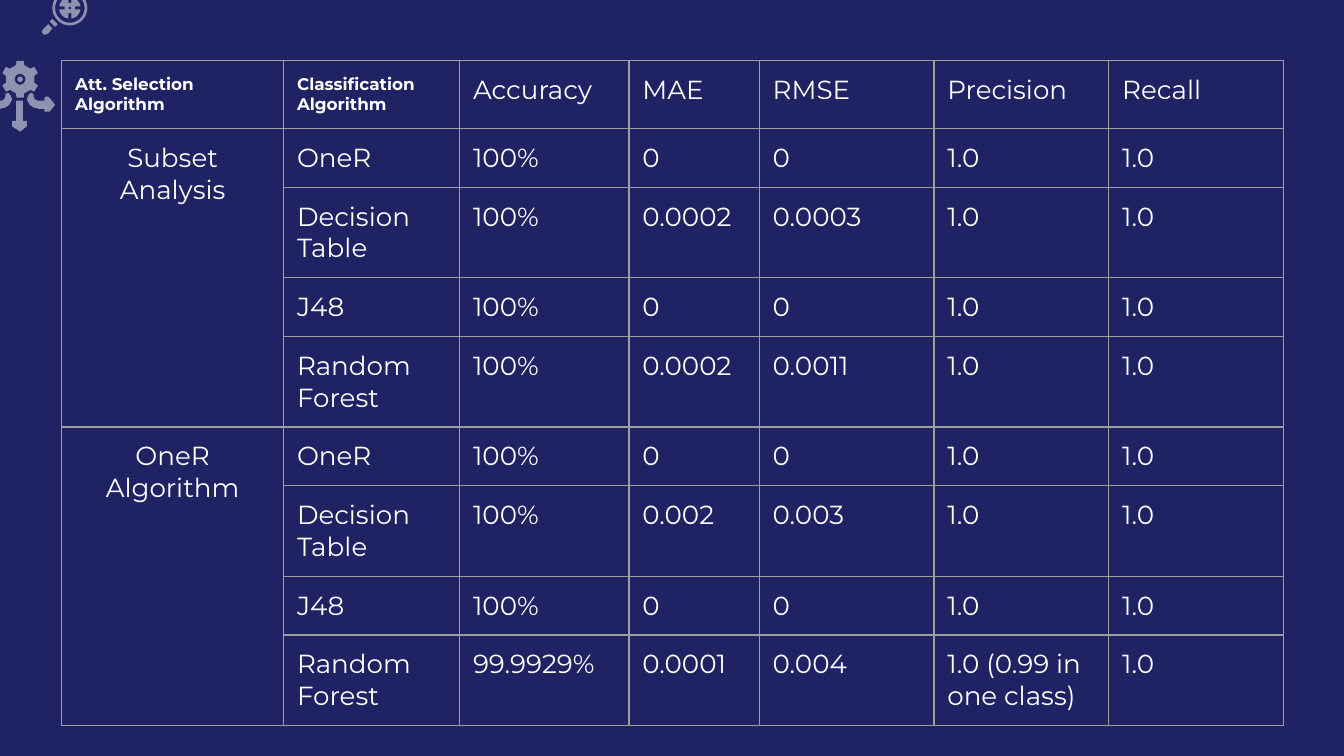
import math
from dataclasses import dataclass
from typing import NamedTuple

import lxml.etree
import pptx
import pptx.dml.color
import pptx.enum.text
import pptx.oxml
import pptx.oxml.ns
import pptx.util
from pptx.util import Inches


class Point(NamedTuple):
    x: float
    y: float


Contour = list[Point]


@dataclass(frozen=True)
class Theme:
    background: str = "1F2363"
    ink: str = "FFFFFF"
    grid: str = "9E9E9E"
    font: str = "Montserrat"
    label_size: int = 9
    body_size: int = 14
    grid_width: float = 0.75
    icon_opacity: int = 50


@dataclass(frozen=True)
class Result:
    classifier: str
    accuracy: str
    mae: str
    rmse: str
    precision: str = "1.0"
    recall: str = "1.0"

    def values(self) -> list[str]:
        return [self.classifier, self.accuracy, self.mae,
                self.rmse, self.precision, self.recall]


@dataclass(frozen=True)
class Selection:
    name: str
    results: list[Result]


THEME = Theme()
SLIDE_WIDTH = 10
SLIDE_HEIGHT = SLIDE_WIDTH * 9 / 16
HEADINGS = ["Att. Selection Algorithm", "Classification Algorithm", "Accuracy",
            "MAE", "RMSE", "Precision", "Recall"]
LABEL_HEADINGS = 2
COLUMN_WIDTHS = [1.65, 1.31, 1.26, 0.97, 1.3, 1.3, 1.3]
ROW_HEIGHT = 0.42
SELECTIONS = [
    Selection("Subset Analysis", [
        Result("OneR", "100%", "0", "0"),
        Result("Decision Table", "100%", "0.0002", "0.0003"),
        Result("J48", "100%", "0", "0"),
        Result("Random Forest", "100%", "0.0002", "0.0011"),
    ]),
    Selection("OneR Algorithm", [
        Result("OneR", "100%", "0", "0"),
        Result("Decision Table", "100%", "0.002", "0.003"),
        Result("J48", "100%", "0", "0"),
        Result("Random Forest", "99.9929%", "0.0001", "0.004", "1.0 (0.99 in one class)"),
    ]),
]

GEAR = Point(0.15, 0.59)
LENS = Point(0.52, 0.06)
DOWN_ARROW = [Point(*p) for p in (
    (0.12, 0.75), (0.17, 0.75), (0.17, 0.9), (0.2, 0.9), (0.2, 0.94),
    (0.15, 0.98), (0.09, 0.94), (0.09, 0.9), (0.12, 0.9))]
RIGHT_ARROW = [Point(*p) for p in (
    (0.41, 0.78), (0.37, 0.73), (0.36, 0.72), (0.34, 0.72), (0.33, 0.73),
    (0.33, 0.75), (0.28, 0.75), (0.26, 0.74), (0.25, 0.72), (0.25, 0.7),
    (0.23, 0.69), (0.21, 0.71), (0.2, 0.74), (0.22, 0.78), (0.25, 0.8),
    (0.29, 0.81), (0.33, 0.81), (0.33, 0.83), (0.37, 0.83))]
LEFT_ARROW = [Point(0.29 - p.x, p.y) for p in RIGHT_ARROW]
HANDLE = [Point(*p) for p in (
    (0.36, 0.18), (0.32, 0.22), (0.31, 0.24), (0.33, 0.26), (0.36, 0.25), (0.39, 0.21))]
NECK = [Point(*p) for p in ((0.39, 0.14), (0.37, 0.16), (0.41, 0.2), (0.43, 0.18))]


def polar(center: Point, radius: float, degrees: float) -> Point:
    angle = math.radians(degrees)
    return Point(center.x + radius * math.cos(angle), center.y + radius * math.sin(angle))


def circle(center: Point, radius: float) -> Contour:
    return [polar(center, radius, degrees) for degrees in range(0, 360, 10)]


def gear_outline(center: Point) -> Contour:
    tooth = [(0.11, -16), (0.14, -11), (0.14, 11), (0.11, 16)]
    return [polar(center, radius, axis + turn)
            for axis in range(30, 390, 60) for radius, turn in tooth]


def crosshair_outline(center: Point) -> Contour:
    notch = [(0.08, -8), (0.04, -16), (0.04, 16)]
    rim = [(0.08, turn) for turn in range(8, 82, 12)]
    return [polar(center, radius, axis + turn)
            for axis in range(0, 360, 90) for radius, turn in notch + rim]


def draw_icon_part(slide, contours: list[Contour], theme: Theme) -> None:
    scaled = [[(Inches(p.x), Inches(p.y)) for p in contour] for contour in contours]
    builder = slide.shapes.build_freeform(*scaled[0][0])
    builder.add_line_segments(scaled[0][1:], close=True)
    for hole in scaled[1:]:
        builder.move_to(*hole[0])
        builder.add_line_segments(hole[1:], close=True)
    part = builder.convert_to_shape()
    part.shadow.inherit = False
    part.line.fill.background()
    part.fill.solid()
    part.fill.fore_color.rgb = pptx.dml.color.RGBColor.from_string(theme.ink)
    color = part.fill._xPr.find(".//" + pptx.oxml.ns.qn("a:srgbClr"))
    alpha = lxml.etree.SubElement(color, pptx.oxml.ns.qn("a:alpha"))
    alpha.set("val", str(theme.icon_opacity * 1000))


def style_cell(cell, theme: Theme) -> None:
    properties = cell._tc.get_or_add_tcPr()
    for side in ("lnL", "lnR", "lnT", "lnB"):
        properties.append(pptx.oxml.parse_xml(
            f'<a:{side} {pptx.oxml.ns.nsdecls("a")} w="{pptx.util.Pt(theme.grid_width)}">'
            f'<a:solidFill><a:srgbClr val="{theme.grid}"/></a:solidFill></a:{side}>'))
    cell.fill.background()
    cell.margin_left = cell.margin_right = Inches(0.1)
    cell.margin_top = cell.margin_bottom = Inches(0.1)


def write_cell(cell, text: str, theme: Theme, label: bool = False,
               centered: bool = False) -> None:
    cell.text = text
    paragraph = cell.text_frame.paragraphs[0]
    if centered:
        paragraph.alignment = pptx.enum.text.PP_ALIGN.CENTER
    paragraph.font.name = theme.font
    paragraph.font.size = pptx.util.Pt(theme.label_size if label else theme.body_size)
    paragraph.font.bold = label
    paragraph.font.color.rgb = pptx.dml.color.RGBColor.from_string(theme.ink)


def draw_results(slide, theme: Theme) -> None:
    row_count = 1 + sum(len(selection.results) for selection in SELECTIONS)
    results = slide.shapes.add_table(
        row_count, len(HEADINGS), Inches(0.46), Inches(0.45),
        Inches(sum(COLUMN_WIDTHS)), Inches(ROW_HEIGHT * row_count)).table
    results.first_row = False
    results.horz_banding = False
    for column, width in zip(results.columns, COLUMN_WIDTHS):
        column.width = Inches(width)
    for row in results.rows:
        row.height = Inches(ROW_HEIGHT)
    for cell in results.iter_cells():
        style_cell(cell, theme)
    for index, heading in enumerate(HEADINGS):
        write_cell(results.cell(0, index), heading, theme, label=index < LABEL_HEADINGS)
    first = 1
    for selection in SELECTIONS:
        last = first + len(selection.results) - 1
        results.cell(first, 0).merge(results.cell(last, 0))
        write_cell(results.cell(first, 0), selection.name, theme, centered=True)
        for row_index, result in enumerate(selection.results, first):
            for column_index, value in enumerate(result.values(), 1):
                write_cell(results.cell(row_index, column_index), value, theme)
        first = last + 1


def main() -> None:
    deck = pptx.Presentation()
    deck.slide_width, deck.slide_height = Inches(SLIDE_WIDTH), Inches(SLIDE_HEIGHT)
    slide = deck.slides.add_slide(deck.slide_layouts[6])
    slide.background.fill.solid()
    slide.background.fill.fore_color.rgb = pptx.dml.color.RGBColor.from_string(THEME.background)
    icon_parts = [
        [gear_outline(GEAR), circle(GEAR, 0.04)],
        [circle(GEAR, 0.02)],
        [DOWN_ARROW],
        [LEFT_ARROW],
        [RIGHT_ARROW],
        [crosshair_outline(LENS), circle(LENS, 0.01)],
        [HANDLE],
        [circle(LENS, 0.13), circle(LENS, 0.11)],
        [NECK],
    ]
    for contours in icon_parts:
        draw_icon_part(slide, contours, THEME)
    draw_results(slide, THEME)
    deck.save("out.pptx")


if __name__ == "__main__":
    main()
